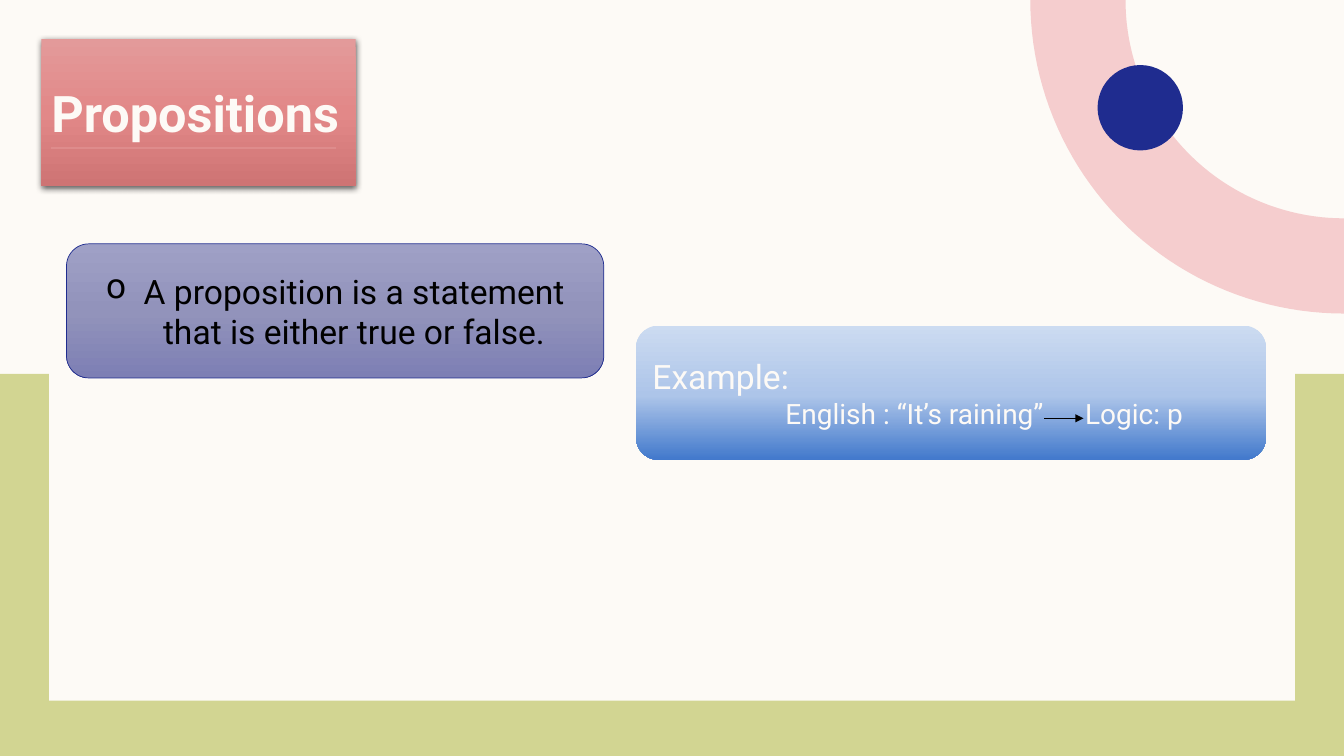
"""Build the slide that introduces propositions."""
from copy import deepcopy
from math import cos, radians, sin

from lxml import etree
from pptx import Presentation
from pptx.dml.color import RGBColor
from pptx.enum.shapes import MSO_CONNECTOR, MSO_SHAPE
from pptx.enum.text import MSO_ANCHOR, MSO_AUTO_SIZE, PP_ALIGN
from pptx.oxml.ns import qn
from pptx.util import Pt

RECT, ROUND, OVAL = MSO_SHAPE.RECTANGLE, MSO_SHAPE.ROUNDED_RECTANGLE, MSO_SHAPE.OVAL
STRAIGHT = MSO_CONNECTOR.STRAIGHT
MIDDLE, NO_FIT = MSO_ANCHOR.MIDDLE, MSO_AUTO_SIZE.NONE
LEFT, CENTER = PP_ALIGN.LEFT, PP_ALIGN.CENTER

CREAM = RGBColor(0xFD, 0xFA, 0xF6)
GREEN = RGBColor(0xD2, 0xD5, 0x92)
PINK = RGBColor(0xF5, 0xCD, 0xCE)
NAVY = RGBColor(0x1F, 0x2C, 0x8F)
ROSE = RGBColor(0xDE, 0x8C, 0x8C)
BLACK = RGBColor(0, 0, 0)
ROSES = [(0, RGBColor(0xE3, 0x9A, 0x9A)), (0.5, RGBColor(0xE2, 0x88, 0x88)),
         (1, RGBColor(0xCE, 0x74, 0x74))]
VIOLETS = [(0, RGBColor(0x9F, 0xA0, 0xC6)), (0.5, RGBColor(0x92, 0x93, 0xBB)),
           (1, RGBColor(0x7D, 0x7F, 0xB4))]
BLUES = [(0, RGBColor(0xCC, 0xDB, 0xF1)), (0.52, RGBColor(0xAD, 0xC5, 0xE9)),
         (1, RGBColor(0x42, 0x79, 0xCC))]


class Deck:
    """Hold the style and the current slide."""

    def __init__(self, font):
        self.font = font
        self.prs = Presentation()
        self.prs.slide_width, self.prs.slide_height = Pt(960), Pt(540)
        self.s = self.prs.slides.add_slide(self.prs.slide_layouts[5])
        fill = self.s.background.fill
        fill.solid()
        fill.fore_color.rgb = CREAM

    def paint(self, sp, fill, line=None):
        """Fill a shape with a colour or a downward gradient and set its line."""
        sp.shadow.inherit = False
        if isinstance(fill, list):
            sp.fill.gradient()
            sp.fill.gradient_angle = 270
            stops = sp._element.spPr.find(".//" + qn("a:gsLst"))
            stops.append(deepcopy(stops[0]))
            for stop, (position, color) in zip(sp.fill.gradient_stops, fill):
                stop.position, stop.color.rgb = position, color
        else:
            sp.fill.solid()
            sp.fill.fore_color.rgb = fill
        if line is None:
            sp.line.fill.background()
        else:
            sp.line.color.rgb, sp.line.width = line, Pt(0.5)

    def shape(self, kind, box, fill, line=None):
        """Add a preset shape."""
        sp = self.s.shapes.add_shape(kind, *map(Pt, box))
        self.paint(sp, fill, line)
        return sp

    def quarter_ring(self, cx, cy, outer, inner, fill):
        """Add the lower left quarter of a ring."""
        angles = range(90, 181, 2)
        arcs = [(outer, a) for a in angles] + [(inner, a) for a in reversed(angles)]
        points = [(Pt(cx + r * cos(radians(a))), Pt(cy + r * sin(radians(a))))
                  for r, a in arcs]
        builder = self.s.shapes.build_freeform(*points[0], scale=1.0)
        builder.add_line_segments(points[1:], close=True)
        self.paint(builder.convert_to_shape(), fill)

    def title(self, text, box, fill):
        """Place the title on a gradient panel with a soft shadow."""
        sp = self.s.shapes.title
        sp._element.getparent().append(sp._element)
        sp.left, sp.top, sp.width, sp.height = map(Pt, box)
        self.paint(sp, fill)
        effects = sp._element.spPr.find(qn("a:effectLst"))
        shadow = etree.SubElement(effects, qn("a:outerShdw"), blurRad=str(Pt(4.5)),
                                  dist=str(Pt(1.5)), dir="5400000", rotWithShape="0")
        color = etree.SubElement(shadow, qn("a:srgbClr"), val=str(BLACK))
        etree.SubElement(color, qn("a:alpha"), val="63000")
        sp.text_frame.margin_top = sp.text_frame.margin_bottom = 0
        self.text(sp, [(text, 36, {})], CREAM, bold=True)

    def text(self, sp, lines, color, align=LEFT, bold=False):
        """Write (text, size, extras) lines into a shape."""
        tf = sp.text_frame
        for name, value in {"word_wrap": True, "auto_size": NO_FIT,
                            "vertical_anchor": MIDDLE}.items():
            setattr(tf, name, value)
        for i, (words, size, extras) in enumerate(lines):
            p = tf.add_paragraph() if i else tf.paragraphs[0]
            p.alignment = align
            pPr = p._p.get_or_add_pPr()
            if "bullet" in extras:
                pPr.set("marL", str(Pt(27)))
                pPr.set("indent", str(Pt(-27)))
                etree.SubElement(pPr, qn("a:buChar"), char=extras["bullet"])
            if "tabs" in extras:
                tabs = etree.SubElement(pPr, qn("a:tabLst"))
                for pos in extras["tabs"]:
                    etree.SubElement(tabs, qn("a:tab"), pos=str(Pt(pos)), algn="l")
            r = p.add_run()
            r.text = words
            for name, value in {"name": self.font, "size": Pt(size), "bold": bold}.items():
                setattr(r.font, name, value)
            r.font.color.rgb = color

    def line(self, ends, color, width, arrow=False):
        """Add a straight line, with an arrowhead if wanted."""
        cx = self.s.shapes.add_connector(STRAIGHT, *map(Pt, ends))
        cx.line.color.rgb, cx.line.width = color, Pt(width)
        if arrow:
            etree.SubElement(cx.line._get_or_add_ln(), qn("a:tailEnd"), type="triangle")
        etree.SubElement(cx._element.spPr, qn("a:effectLst"))


def main():
    """Build and save the slide."""
    deck = Deck("Roboto")
    deck.shape(RECT, (0, 267, 960, 273), GREEN)
    deck.shape(RECT, (35, 26, 890, 474.5), CREAM)
    deck.quarter_ring(960, 0, 224, 156, PINK)
    deck.shape(OVAL, (784, 46.5, 61, 61), NAVY)
    deck.title("Propositions", (29.5, 28, 224.6, 105), ROSES)
    deck.line((36.7, 105.8, 239.8, 105.8), ROSE, 1.5)

    definition = deck.shape(ROUND, (47.5, 174.2, 383.8, 95.8), VIOLETS, NAVY)
    deck.text(definition, [("A proposition is a statement that is either true or false.",
                            24, {"bullet": "o"})], BLACK, CENTER)
    example = deck.shape(ROUND, (454.3, 232.6, 450, 95.8), BLUES)
    deck.text(example, [("Example:", 24, {}),
                        ("\tEnglish : “It’s raining”\tLogic: p", 20, {"tabs": (95, 309)})],
              CREAM)
    deck.line((746, 298.8, 774, 298.8), BLACK, 0.5, arrow=True)
    deck.prs.save("out.pptx")


if __name__ == "__main__":
    main()
